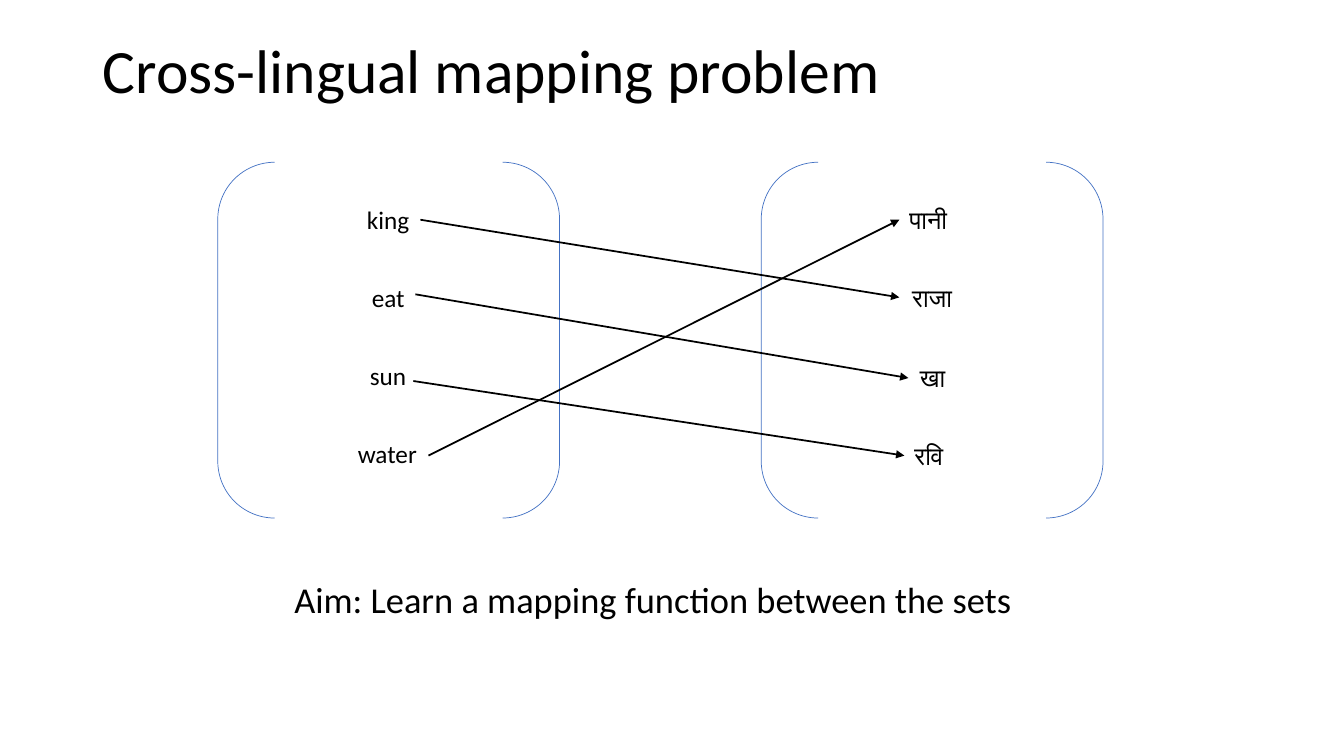
from lxml.etree import SubElement
from pptx import Presentation
from pptx.dml.color import RGBColor
from pptx.enum.shapes import MSO_CONNECTOR, MSO_SHAPE
from pptx.enum.text import MSO_ANCHOR, MSO_AUTO_SIZE, PP_ALIGN
from pptx.oxml.ns import qn
from pptx.util import Inches, Pt

BLACK = RGBColor(0x00, 0x00, 0x00)
BLUE = RGBColor(0x44, 0x72, 0xC4)
LEFT_SIDE, RIGHT_SIDE = 1, 3

deck = Presentation()
deck.slide_width = Inches(13.33)
deck.slide_height = Inches(7.5)
page = deck.slides.add_slide(deck.slide_layouts[6])


def add_text(text, left, top, width, height, size, align=PP_ALIGN.LEFT):
    """Add a one-line text box that fits its text."""
    box = page.shapes.add_textbox(Inches(left), Inches(top), Inches(width), Inches(height))
    frame = box.text_frame
    frame.text = text
    frame.word_wrap = False
    frame.auto_size = MSO_AUTO_SIZE.SHAPE_TO_FIT_TEXT
    para = frame.paragraphs[0]
    para.alignment = align
    span = para.runs[0]
    span.font.name = "Calibri"
    span.font.size = Pt(size)
    span.font.color.rgb = BLACK
    return box


# The two word sets
for left in (2.16, 7.55):
    brackets = page.shapes.add_shape(
        MSO_SHAPE.DOUBLE_BRACKET, Inches(left), Inches(1.61), Inches(3.39), Inches(3.53))
    brackets.shadow.inherit = False
    brackets.fill.background()
    brackets.line.color.rgb = BLUE
    brackets.line.width = Pt(0.5)

word_places = [
    ("king", 3.54, 1.98, 0.63, PP_ALIGN.LEFT),
    ("eat", 3.59, 2.75, 0.53, PP_ALIGN.LEFT),
    ("sun", 3.57, 3.53, 0.57, PP_ALIGN.LEFT),
    ("water", 3.45, 4.3, 0.79, PP_ALIGN.LEFT),
    ("पानी", 8.92, 1.98, 0.65, PP_ALIGN.LEFT),
    ("राजा", 8.92, 2.75, 0.65, PP_ALIGN.CENTER),
    ("खा", 9.01, 3.55, 0.48, PP_ALIGN.CENTER),
    ("रवि", 8.97, 4.32, 0.55, PP_ALIGN.LEFT),
]
words = {}
for word, left, top, width, align in word_places:
    words[word] = add_text(word, left, top, width, 0.4, 18, align)

# Each English word points to its Hindi translation
translations = [
    ("king", "राजा", 4.16, 2.18),
    ("eat", "खा", 4.12, 2.92),
    ("sun", "रवि", 4.1, 3.78),
    ("water", "पानी", 4.25, 4.52),
]
for english, hindi, start_x, start_y in translations:
    target = words[hindi]
    arrow = page.shapes.add_connector(
        MSO_CONNECTOR.STRAIGHT, Inches(start_x), Inches(start_y),
        target.left, target.top + target.height // 2)
    if english == "king":
        arrow.begin_connect(words[english], RIGHT_SIDE)
    arrow.end_connect(target, LEFT_SIDE)
    arrow.line.color.rgb = BLACK
    arrow.line.width = Pt(1.25)
    SubElement(arrow.line._get_or_add_ln(), qn("a:tailEnd"), type="triangle")
    SubElement(arrow._element.spPr, qn("a:effectLst"))

add_text("Aim: Learn a mapping function between the sets", 2.82, 5.68, 7.38, 0.54, 26)

title = add_text("Cross-lingual mapping problem", 0.92, 0, 11.5, 1.45, 44)
title.text_frame.word_wrap = True
title.text_frame.auto_size = MSO_AUTO_SIZE.NONE
title.text_frame.vertical_anchor = MSO_ANCHOR.MIDDLE
title.text_frame.paragraphs[0].line_spacing = 0.9

deck.save("out.pptx")
